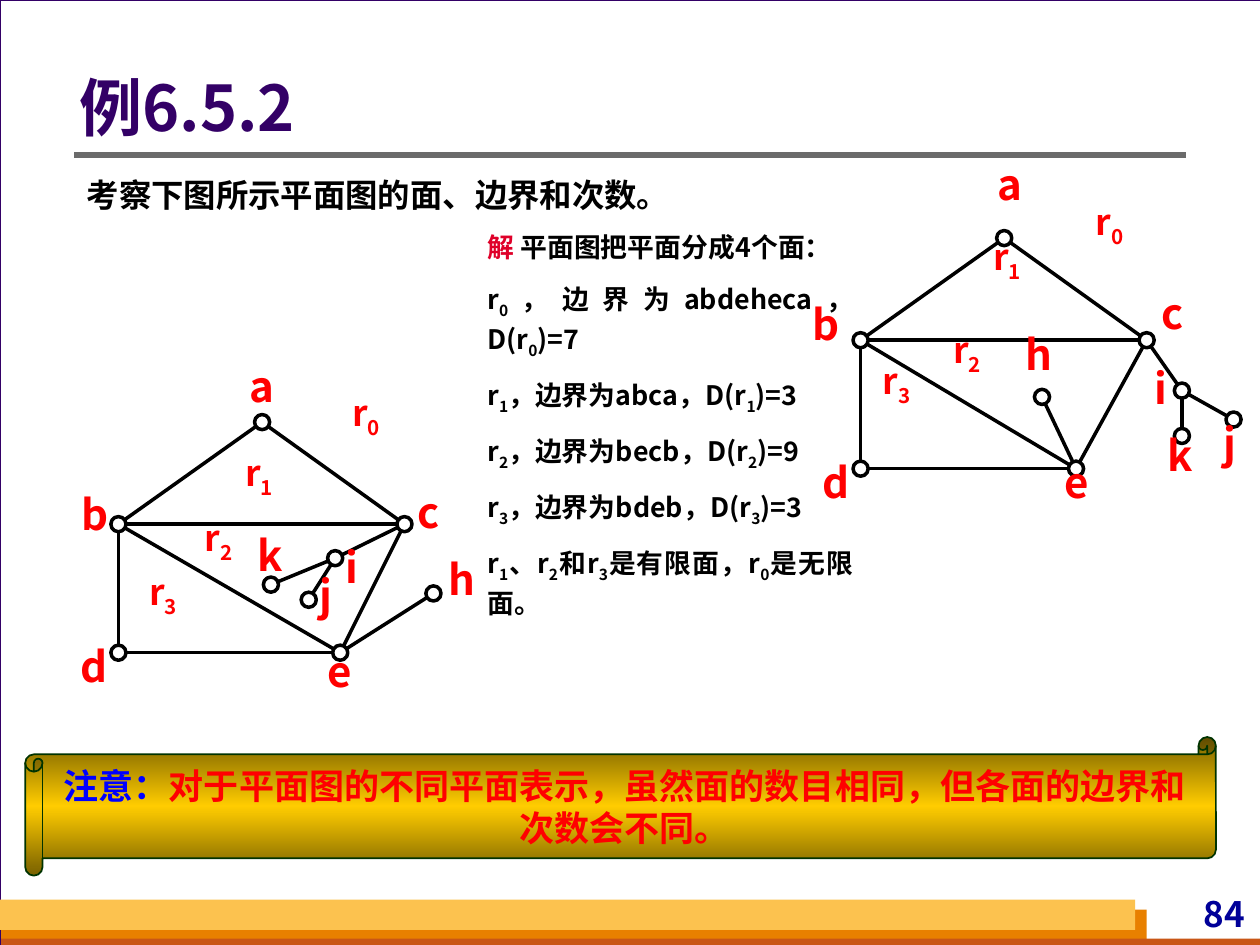
"""Build the slide on the faces, boundaries and degrees of two drawings of a planar graph."""
import copy

import lxml.etree
import pptx
import pptx.dml.color
import pptx.enum.shapes
import pptx.enum.text
import pptx.oxml.ns
import pptx.util

TITLE = "例6.5.2"
QUESTION = "考察下图所示平面图的面、边界和次数。"
PAGE = "84"
SOLUTION = [
    [("解 ", "accent"), ("平面图把平面分成4个面：", "ink")],
    "r_0，边界为abdeheca，D(r_0)=7",
    "r_1，边界为abca，D(r_1)=3",
    "r_2，边界为becb，D(r_2)=9",
    "r_3，边界为bdeb，D(r_3)=3",
    "r_1、r_2和r_3是有限面，r_0是无限面。",
]
NOTE = [("注意：", "note"), ("对于平面图的不同平面表示，虽然面的数目相同，但各面的边界和次数会不同。", "label")]

EDGES = "ab ac bc bd be ce de eh ci ij ik".split()
GRAPHS = [
    {
        "nodes": {"a": (20.8, 33.5), "b": (9.4, 41.6), "c": (32.1, 41.6), "d": (9.4, 51.8), "e": (27, 51.8),
                  "h": (34.4, 47.1), "i": (26.6, 44.3), "j": (24.5, 47.6), "k": (21.5, 46.4)},
        "labels": {"a": (18.4, 28.6), "b": (5.2, 38.8), "c": (31.7, 38.6), "d": (5.1, 50.8), "e": (24.6, 51.2),
                   "h": (34.3, 43.9), "i": (25.6, 43), "j": (23.5, 45.2), "k": (19.1, 42)},
        "faces": {"r_0": (26.7, 31.1), "r_1": (18.2, 35.8), "r_2": (15, 41), "r_3": (10.6, 45.3)},
    },
    {
        "nodes": {"a": (79.7, 18.9), "b": (68.3, 27), "c": (91, 27), "d": (68.3, 37.2), "e": (85.4, 37.2),
                  "h": (82.7, 31.5), "i": (93.8, 31), "j": (97.9, 33.3), "k": (93.8, 34.6)},
        "labels": {"a": (77.8, 12.6), "b": (63.2, 23.7), "c": (90.7, 22.8), "d": (64, 36.2), "e": (83.1, 36.2),
                   "h": (80.1, 26.1), "i": (89.8, 28.8), "j": (95.3, 33.1), "k": (91.3, 34.1)},
        "faces": {"r_0": (85.7, 15.9), "r_1": (77.6, 18.7), "r_2": (74.4, 26.1), "r_3": (68.8, 28.5)},
    },
]
BARS = [
    ("paper", (0, 0, 100.1, 75), "title"),
    ("orange", (0.1, 72.2, 90.9, 2.8), None),
    ("rust", (0.1, 74.5, 100, 0.8), None),
    ("yellow", (0, 71.4, 90.1, 2.4), None),
]
THEME = {
    "font": "Noto Sans CJK SC",
    "colors": {"back": "D8DADA", "paper": "FFFFFF", "orange": "E88000", "rust": "C95616", "yellow": "FCC24F",
               "title": "330066", "rule": "6B6B6B", "ink": "000000", "label": "FF0000", "accent": "DF0029",
               "note": "0000FF", "page": "000099", "scroll": "003300"},
    "gradient": ["786000", "FFCC00", "786000"],
    "sizes": {"title": 36, "question": 18.5, "solution": 15.3, "note": 20, "page": 20, "node": 24, "face": 20.4},
}
COLUMNS, ROWS = 100, 75
NODE = 1.2
LABEL = (4.7, 4)
MARGINS = (0.1, 0.05, 0.1, 0.05)
NARROW = (0.04, 0, 0.04, 0)
SHAPES = pptx.enum.shapes.MSO_SHAPE
ALIGN = pptx.enum.text.PP_ALIGN
ANCHOR = pptx.enum.text.MSO_ANCHOR
qn = pptx.oxml.ns.qn

prs = pptx.Presentation()
prs.slide_width, prs.slide_height = pptx.util.Inches(10), pptx.util.Inches(7.5)
s = prs.slides.add_slide(prs.slide_layouts[6])


def grid(*values):
    """Turn alternating column and row counts into slide lengths."""
    steps = (prs.slide_width / COLUMNS, prs.slide_height / ROWS)
    return [round(v * steps[i % 2]) for i, v in enumerate(values)]


def rgb(name):
    """Return a theme colour."""
    return pptx.dml.color.RGBColor.from_string(THEME["colors"][name])


def write(sp, paragraphs, size, color="ink", align=ALIGN.LEFT, anchor=ANCHOR.TOP,
          margins=(0, 0, 0, 0), spacing=1.0, before=0):
    """Write paragraphs of text or (text, colour) runs; an underscore lowers the next character."""
    tf = sp.text_frame
    tf.word_wrap, tf.vertical_anchor = True, anchor
    tf.margin_left, tf.margin_top, tf.margin_right, tf.margin_bottom = map(pptx.util.Inches, margins)
    for n, runs in enumerate(paragraphs):
        p = tf.add_paragraph() if n else tf.paragraphs[0]
        p.alignment, p.line_spacing = align, spacing
        p.space_before = pptx.util.Pt(before if n else 0)
        for text, tone in [(runs, color)] if isinstance(runs, str) else runs:
            first, *rest = text.split("_")
            pieces = [(first, False)]
            for part in rest:
                pieces += [(part[0], True), (part[1:], False)]
            for piece, lowered in pieces:
                if piece:
                    r = p.add_run()
                    r.text = piece
                    r.font.size, r.font.bold = pptx.util.Pt(THEME["sizes"][size]), True
                    r.font.color.rgb = rgb(tone)
                    r.font.name = THEME["font"]
                    rpr = r._r.get_or_add_rPr()
                    lxml.etree.SubElement(rpr, qn("a:ea")).set("typeface", THEME["font"])
                    if lowered:
                        rpr.set("baseline", "-25000")


def add_text(shapes, box, paragraphs, size, **fmt):
    """Add a text box."""
    write(shapes.add_textbox(*grid(*box)), paragraphs, size, **fmt)


def add_shape(shapes, kind, box, fill=None, line=None, width=0.75):
    """Add a flat preset shape."""
    sp = shapes.add_shape(kind, *grid(*box))
    sp.shadow.inherit = False
    if fill:
        sp.fill.solid()
        sp.fill.fore_color.rgb = rgb(fill)
    if line:
        sp.line.color.rgb, sp.line.width = rgb(line), pptx.util.Pt(width)
    else:
        sp.line.fill.background()
    return sp


def add_line(shapes, start, end, color, width):
    """Add a straight line without a shadow."""
    line = shapes.add_connector(pptx.enum.shapes.MSO_CONNECTOR.STRAIGHT, *grid(*start, *end))
    line.line.color.rgb, line.line.width = rgb(color), pptx.util.Pt(width)
    lxml.etree.SubElement(line._element.spPr, qn("a:effectLst"))


def add_graph(graph):
    """Add one drawing of the graph as a group."""
    shapes = s.shapes.add_group_shape().shapes
    nodes = graph["nodes"]
    for u, v in EDGES:
        add_line(shapes, nodes[u], nodes[v], "ink", 2)
    for x, y in nodes.values():
        add_shape(shapes, SHAPES.OVAL, (x - NODE / 2, y - NODE / 2, NODE, NODE), "paper", "ink", 2)
    for key, size, spacing in (("labels", "node", 1.0), ("faces", "face", 0.9)):
        for name, corner in graph[key].items():
            add_text(shapes, corner + LABEL, [name], size, color="label", align=ALIGN.CENTER, spacing=spacing)


def add_note():
    """Add the scroll with the closing remark."""
    sp = add_shape(s.shapes, SHAPES.HORIZONTAL_SCROLL, (2, 58.5, 94.5, 11), line="scroll", width=1)
    sp.adjustments[0] = 0.125
    sp.fill.gradient()
    sp.fill.gradient_angle = 90
    stops = sp._element.spPr.find(".//" + qn("a:gsLst"))
    stops.insert(1, copy.deepcopy(stops[0]))
    for n, (stop, color) in enumerate(zip(sp.fill.gradient_stops, THEME["gradient"])):
        stop.color.rgb = pptx.dml.color.RGBColor.from_string(color)
        stop.position = n / 2
    write(sp, [NOTE], "note", align=ALIGN.CENTER, anchor=ANCHOR.MIDDLE, margins=MARGINS)


s.background.fill.solid()
s.background.fill.fore_color.rgb = rgb("back")
for fill, box, line in BARS:
    add_shape(s.shapes, SHAPES.RECTANGLE, box, fill, line)
add_text(s.shapes, (87, 70.8, 12.2, 3.3), [PAGE], "page", color="page", align=ALIGN.RIGHT, margins=NARROW)
add_line(s.shapes, (5.9, 12.3), (94.1, 12.3), "rule", 3)
add_text(s.shapes, (5.9, 3.8, 88.2, 10.1), [TITLE], "title", color="title", anchor=ANCHOR.MIDDLE,
         margins=NARROW, spacing=0.9)
add_text(s.shapes, (5.9, 13.4, 88.2, 4.3), [QUESTION], "question", align=ALIGN.JUSTIFY, margins=MARGINS)
add_text(s.shapes, (37.7, 17.6, 31, 33.1), SOLUTION, "solution", align=ALIGN.JUSTIFY, margins=MARGINS,
         spacing=1.1, before=9)
add_note()
for graph in GRAPHS:
    add_graph(graph)
prs.save("out.pptx")
